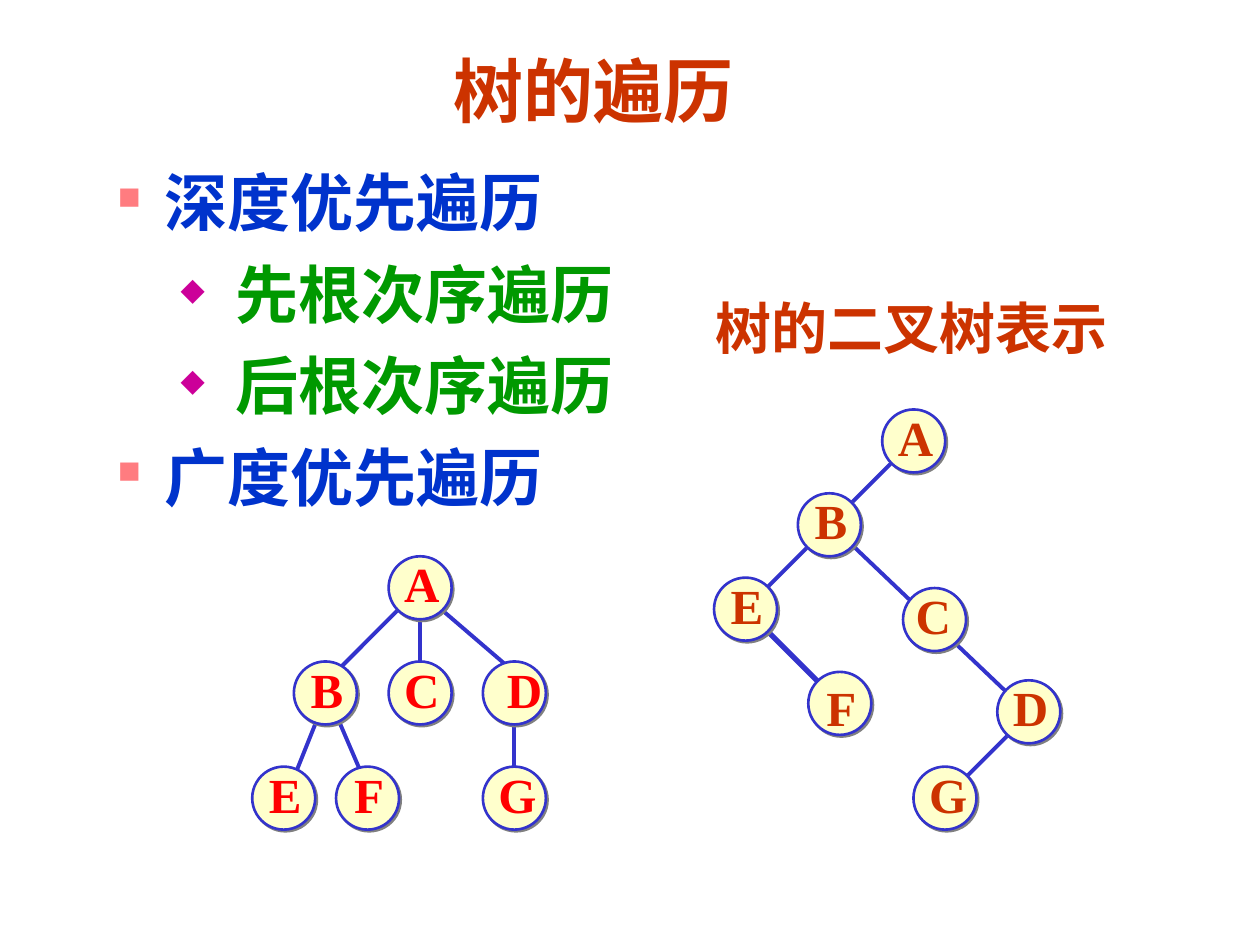
from dataclasses import dataclass

from lxml import etree
from pptx import Presentation
from pptx.dml.color import RGBColor
from pptx.enum.shapes import MSO_CONNECTOR, MSO_SHAPE
from pptx.enum.text import MSO_ANCHOR, PP_ALIGN
from pptx.oxml.ns import qn
from pptx.util import Cm, Pt

LINE, OVAL = MSO_CONNECTOR.STRAIGHT, MSO_SHAPE.OVAL
TOP, MIDDLE = MSO_ANCHOR.TOP, MSO_ANCHOR.MIDDLE
LEFT, CENTER = PP_ALIGN.LEFT, PP_ALIGN.CENTER


@dataclass(frozen=True)
class Theme:
    rust: str = "CC3300"
    red: str = "FF0000"
    blue: str = "0033CC"
    green: str = "009900"
    edge: str = "3333CC"
    node: str = "FFFFCC"
    shade: str = "808080"
    square: str = "FF7C80"
    diamond: str = "CC0099"
    serif: str = "Times New Roman"
    sans: str = "Arial"
    title: int = 40
    body: int = 36
    caption: int = 32
    label: int = 28


THEME = Theme()
SIZE = 1.27  # node diameter

# Bullet levels: sign, sign colour, text colour, left margin, hanging indent
LEVELS = (
    ("■", THEME.square, THEME.blue, 0.95, 0.95),
    ("◆", THEME.diamond, THEME.green, 2.37, 1.1),
)
POINTS = ((0, "深度优先遍历"), (1, "先根次序遍历"),
          (1, "后根次序遍历"), (0, "广度优先遍历"))

ROWS = [11.85 + 2.12 * i for i in range(3)]
# Nodes: letter, centre x, centre y, then the label's shift where it differs
TREE = (
    ("A", 8.47, ROWS[0]),
    ("B", 6.56, ROWS[1]), ("C", 8.47, ROWS[1]), ("D", 10.37, ROWS[1], 0.2),
    ("E", 5.72, ROWS[2]), ("F", 7.41, ROWS[2]), ("G", 10.37, ROWS[2]),
)
BINARY = (
    ("A", 18.42, 8.89), ("B", 16.72, 10.58), ("E", 15.03, 12.28),
    ("C", 18.84, 12.49, -0.03), ("D", 20.74, 14.35),
    ("G", 19.05, 16.09), ("F", 16.93, 14.18, 0.03, 0.08),
)
# Edges: start x, y, end x, y, then the width where it differs
EDGES = (
    (8.04, 12.28, 6.77, 13.55), (8.47, 12.49, 8.47, 13.55),
    (8.89, 12.28, 10.37, 13.55), (6.35, 14.61, 5.93, 15.66),
    (6.77, 14.39, 7.41, 15.88), (10.37, 14.39, 10.37, 15.66),
    (18.2, 9.1, 15.24, 12.07), (17.15, 10.96, 20.53, 14.18),
    (20.53, 14.61, 19.26, 15.88), (15.24, 12.49, 16.51, 13.76, 3),
)


def color(code):
    return RGBColor.from_string(code)


def add_tag(parent, name, **attrs):
    return etree.SubElement(parent, qn(name), attrs)


def write(par, text, size, ink, font=THEME.serif, align=LEFT, before=0):
    par.alignment, par.space_before = align, Pt(before)
    run = par.add_run()
    run.text = text
    face = run.font
    face.name, face.size, face.bold = font, Pt(size), True
    face.color.rgb = color(ink)


class Board:
    def __init__(self, slide, theme):
        self.shapes, self.theme = slide.shapes, theme

    def frame(self, x, y, width, height, anchor=TOP, wrap=True):
        box = self.shapes.add_textbox(Cm(x), Cm(y), Cm(width), Cm(height))
        frame = box.text_frame
        frame.word_wrap, frame.vertical_anchor = wrap, anchor
        return frame

    def text(self, text, x, y, width, height, anchor=TOP, wrap=True, **style):
        frame = self.frame(x, y, width, height, anchor, wrap)
        write(frame.paragraphs[0], text, **style)

    def bullets(self, points, x, y, width, height):
        frame = self.frame(x, y, width, height)
        for i, (level, text) in enumerate(points):
            par = frame.add_paragraph() if i else frame.paragraphs[0]
            sign, tint, ink, left, hang = LEVELS[level]
            par.level = level
            write(par, text, self.theme.body, ink, before=9)
            props = par._p.get_or_add_pPr()
            props.set("marL", str(Cm(left)))
            props.set("indent", str(-Cm(hang)))
            add_tag(add_tag(props, "a:buClr"), "a:srgbClr", val=tint)
            add_tag(props, "a:buSzPct", val="50000")
            add_tag(props, "a:buChar", char=sign)

    def edge(self, x1, y1, x2, y2, width=2.25):
        line = self.shapes.add_connector(LINE, Cm(x1), Cm(y1), Cm(x2), Cm(y2))
        line.line.color.rgb = color(self.theme.edge)
        line.line.width = Pt(width)
        add_tag(line._element.spPr, "a:effectLst")

    def node(self, letter, x, y, ink, dx=0.03, dy=-0.09):
        """Draw a circle centred on x, y; dx and dy shift its letter."""
        half = SIZE / 2
        disc = self.shapes.add_shape(
            OVAL, Cm(x - half), Cm(y - half), Cm(SIZE), Cm(SIZE))
        disc.fill.solid()
        disc.fill.fore_color.rgb = color(self.theme.node)
        disc.line.color.rgb = color(self.theme.edge)
        disc.line.width = Pt(1.5)
        disc.shadow.inherit = False
        effects = disc._element.spPr.find(qn("a:effectLst"))
        shadow = add_tag(effects, "a:outerShdw", dist=str(Pt(1.4)),
                         dir="2700000", algn="ctr", rotWithShape="0")
        add_tag(shadow, "a:srgbClr", val=self.theme.shade)
        self.text(letter, x + dx - 0.6, y + dy - 0.72, 1.2, 1.44,
                  anchor=MIDDLE, wrap=False, size=self.theme.label,
                  ink=ink, align=CENTER)

    def tree(self, nodes, ink):
        for letter, x, y, *shift in nodes:
            self.node(letter, x, y, ink, *shift)


def main():
    deck = Presentation()
    deck.slide_width, deck.slide_height = Cm(25.4), Cm(19.05)
    board = Board(deck.slides.add_slide(deck.slide_layouts[6]), THEME)
    board.text("树的遍历", 8.89, 0.85, 7.83, 1.9, anchor=MIDDLE,
               size=THEME.title, ink=THEME.rust, font=THEME.sans)
    board.bullets(POINTS, 2.12, 3.18, 21.59, 7.62)
    board.text("树的二叉树表示", 14.18, 5.8, 8.68, 1.62,
               size=THEME.caption, ink=THEME.rust, before=20)
    for edge in EDGES:
        board.edge(*edge)
    board.tree(TREE, THEME.red)
    board.tree(BINARY, THEME.rust)
    deck.save("out.pptx")


if __name__ == "__main__":
    main()
